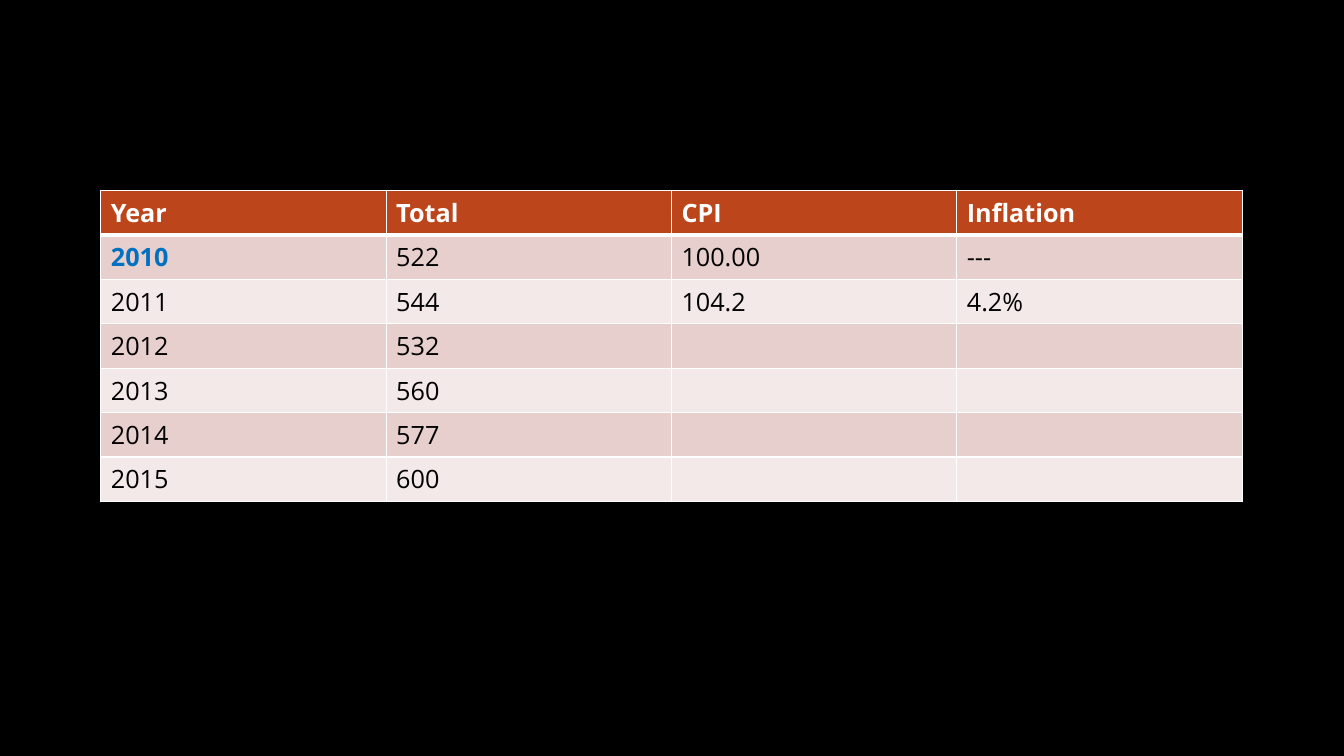
"""Build a slide with a yearly table of totals, CPI and inflation."""
from dataclasses import dataclass

from lxml.etree import SubElement
from pptx import Presentation
from pptx.dml.color import RGBColor
from pptx.oxml.ns import qn
from pptx.util import Inches, Pt


@dataclass(frozen=True)
class Theme:
    font: str = "Open Sans"
    text_size: int = 18
    background: str = "000000"
    text: str = "000000"
    header_text: str = "FFFFFF"
    base_year: str = "0070C0"
    header_fill: str = "BC451B"
    band_fills: tuple = ("F3E9E8", "E7CFCD")
    border: str = "FFFFFF"
    thin: int = 1
    thick: int = 3


theme = Theme()


def write_text(cell, text, color=theme.text, bold=False):
    paragraph = cell.text_frame.paragraphs[0]
    paragraph.text = text
    for font in (paragraph.font, *(run.font for run in paragraph.runs)):
        font.name = theme.font
        font.size = Pt(theme.text_size)
        font.bold = bold
        font.color.rgb = RGBColor.from_string(color)


def draw_border(cell, side, width):
    properties = cell._tc.get_or_add_tcPr()
    line = SubElement(properties, qn(f"a:ln{side}"), w=str(Pt(width)))
    fill = SubElement(line, qn("a:solidFill"))
    SubElement(fill, qn("a:srgbClr"), val=theme.border)


table_rows = [
    ("Year", "Total", "CPI", "Inflation"),
    ("2010", "522", "100.00", "---"),
    ("2011", "544", "104.2", "4.2%"),
    ("2012", "532", "", ""),
    ("2013", "560", "", ""),
    ("2014", "577", "", ""),
    ("2015", "600", "", ""),
]
row_count, column_count = len(table_rows), len(table_rows[0])
column_width, row_height = Inches(2.83), Inches(0.41)

presentation = Presentation()
presentation.slide_width = Inches(13.33)
presentation.slide_height = Inches(7.5)
slide = presentation.slides.add_slide(presentation.slide_layouts[6])
slide.background.fill.solid()
slide.background.fill.fore_color.rgb = RGBColor.from_string(theme.background)

table = slide.shapes.add_table(
    row_count, column_count, Inches(1), Inches(1.89),
    column_width * column_count, row_height * row_count,
).table

for row_index, values in enumerate(table_rows):
    is_header = row_index == 0
    for column_index, value in enumerate(values):
        cell = table.cell(row_index, column_index)
        is_base_year = (row_index, column_index) == (1, 0)
        for side in "LRTB":
            under_header = (row_index, side) in ((0, "B"), (1, "T"))
            draw_border(cell, side, theme.thick if under_header else theme.thin)
        fill_color = theme.header_fill if is_header else theme.band_fills[row_index % 2]
        cell.fill.solid()
        cell.fill.fore_color.rgb = RGBColor.from_string(fill_color)
        if is_header:
            write_text(cell, value, color=theme.header_text, bold=True)
        elif is_base_year:
            write_text(cell, value, color=theme.base_year, bold=True)
        else:
            write_text(cell, value)

presentation.save("out.pptx")
